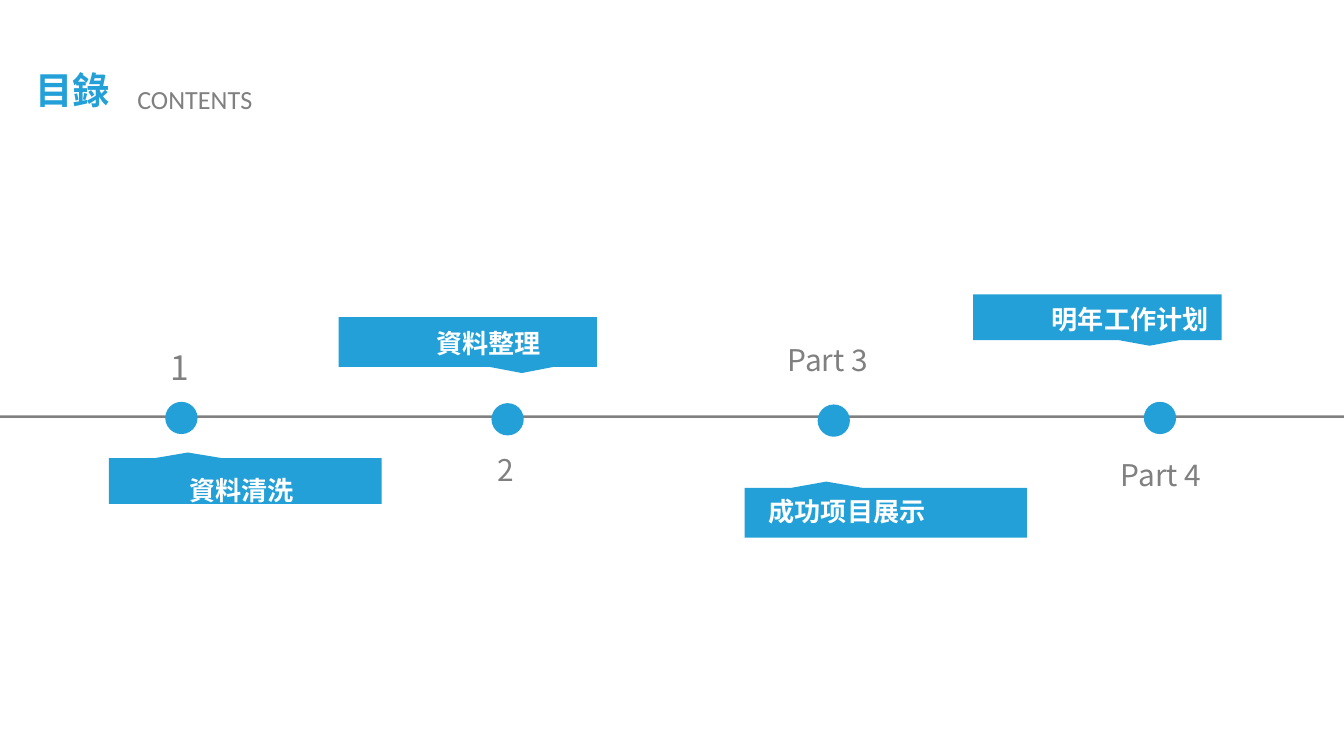
"""Build a contents slide: a four-stop timeline with callout labels."""
from pptx import Presentation
from pptx import util as u
from pptx.dml.color import RGBColor
from pptx.enum import shapes, text
from pptx.oxml import parse_xml
from pptx.oxml.ns import nsdecls, qn

COLORS = {"accent": "22A0D7", "gray": "808080", "white": "FFFFFF"}
CJK_FONT = "Noto Sans CJK SC"
CENTER, LEFT = text.PP_ALIGN.CENTER, text.PP_ALIGN.LEFT
SLIDE_WIDTH = 10
DOT_SIZE = 0.24
FIRST_DOT, DOT_STEP = 1.23, 2.427
DOT_TOPS = (2.99, 3, 3.01, 2.99)

CALLOUTS = [
    ((2.52, 2.36, 1.92, 0.37), "down"),
    ((7.24, 2.19, 1.85, 0.34), "down"),
    ((5.54, 3.63, 2.1, 0.37), "up"),
    ((0.81, 3.41, 2.03, 0.34), "up"),
]
TOPICS = [
    ("資料整理", (2.67, 2.32, 1.93, 0.38), CJK_FONT, CENTER, 1.3),
    ("明年工作计划", (7.3, 2.14, 2.22, 0.38), CJK_FONT, CENTER, 1.3),
    ("成功项目展示", (5.62, 3.64, 1.96, 0.34), "Arial", LEFT, None),
    ("資料清洗", (0.88, 3.41, 1.84, 0.38), CJK_FONT, CENTER, 1.3),
]
PARTS = [
    ("1", (1.2, 2.54, 0.3, 0.38), 18),
    ("2", (3.63, 3.32, 0.28, 0.35), 16),
    ("Part 3", (5.79, 2.5, 0.78, 0.35), 16),
    ("Part 4", (8.27, 3.36, 0.78, 0.35), 16),
]


def inches(box):
    return [u.Inches(length) for length in box]


def add_block(slide, kind, box, color):
    shape = slide.shapes.add_shape(kind, *inches(box))
    shape.shadow.inherit = False
    shape.fill.solid()
    shape.fill.fore_color.rgb = RGBColor.from_string(COLORS[color])
    shape.line.fill.background()
    return shape


def add_callout(slide, box, direction):
    shape = add_block(slide, shapes.MSO_SHAPE.RECTANGULAR_CALLOUT, box, "accent")
    sign = 1 if direction == "down" else -1
    shape.adjustments[0] = sign * 0.21
    shape.adjustments[1] = sign * 0.625


def add_label(slide, words, box, size, color, font=CJK_FONT, bold=False,
              align=LEFT, spacing=None, wrap=False, insets=(0.1, 0.05)):
    frame = slide.shapes.add_textbox(*inches(box)).text_frame
    frame.word_wrap = wrap
    frame.auto_size = text.MSO_AUTO_SIZE.SHAPE_TO_FIT_TEXT
    frame.margin_left = frame.margin_right = u.Inches(insets[0])
    frame.margin_top = frame.margin_bottom = u.Inches(insets[1])
    paragraph = frame.paragraphs[0]
    paragraph.text = words
    paragraph.alignment = align
    paragraph.line_spacing = spacing
    paragraph.font.size = u.Pt(size)
    paragraph.font.bold = bold
    paragraph.font.color.rgb = RGBColor.from_string(COLORS[color])
    paragraph.font.name = font
    east_asian = parse_xml(f'<a:ea {nsdecls("a")} typeface="{CJK_FONT}"/>')
    paragraph._p.find(".//" + qn("a:latin")).addnext(east_asian)


def add_timeline(slide):
    add_block(slide, shapes.MSO_SHAPE.RECTANGLE,
              (0, 3.09, SLIDE_WIDTH, 0.02), "gray")
    for index, top in enumerate(DOT_TOPS):
        box = (FIRST_DOT + index * DOT_STEP, top, DOT_SIZE, DOT_SIZE)
        add_block(slide, shapes.MSO_SHAPE.OVAL, box, "accent")


def main():
    presentation = Presentation()
    presentation.slide_width = u.Inches(SLIDE_WIDTH)
    presentation.slide_height = u.Inches(SLIDE_WIDTH * 9 / 16)
    slide = presentation.slides.add_slide(presentation.slide_layouts[6])
    add_label(slide, "CONTENTS", (0.81, 0.59, 1.28, 0.29), 14, "gray",
              font="Calibri", align=CENTER, insets=(0.05, 0.03))
    add_label(slide, "目錄", (0.16, 0.45, 0.76, 0.44), 20, "accent",
              bold=True, align=CENTER)
    add_timeline(slide)
    for box, direction in CALLOUTS:
        add_callout(slide, box, direction)
    for words, box, font, align, spacing in TOPICS:
        add_label(slide, words, box, 14, "white", font=font, bold=True,
                  align=align, spacing=spacing, wrap=True)
    for words, box, size in PARTS:
        add_label(slide, words, box, size, "gray", insets=(0.07, 0.04))
    presentation.save("out.pptx")


if __name__ == "__main__":
    main()
